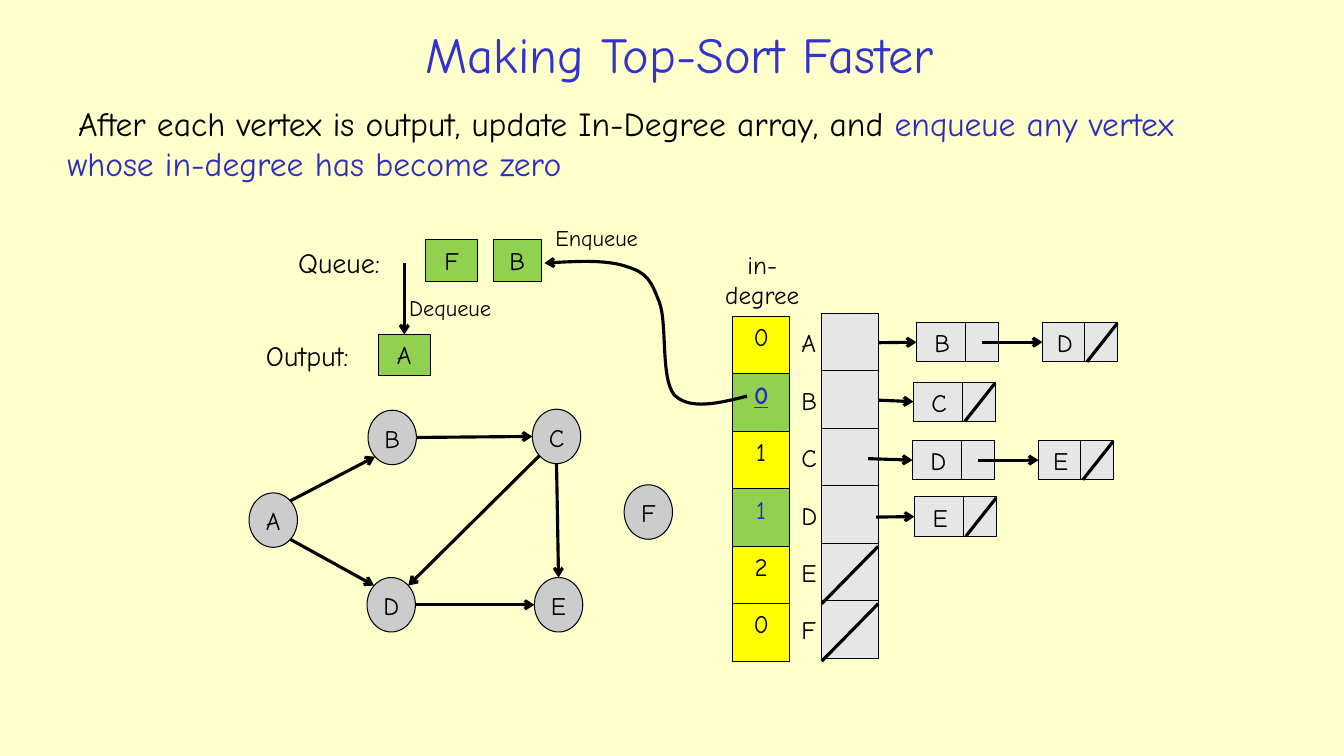
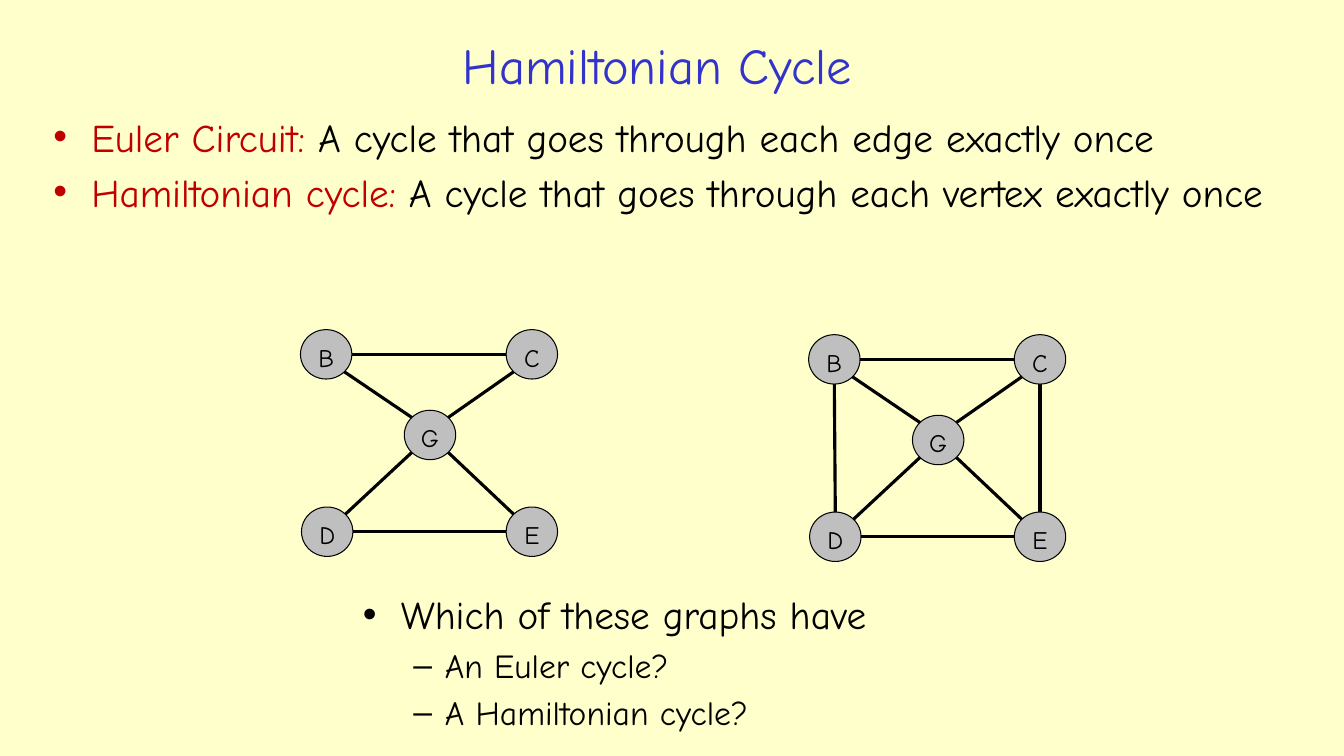
from lxml.etree import SubElement
from pptx import Presentation
from pptx.dml.color import RGBColor
from pptx.enum.shapes import MSO_CONNECTOR as Connector
from pptx.enum.shapes import MSO_SHAPE as Preset
from pptx.enum.text import MSO_ANCHOR as Anchor
from pptx.enum.text import MSO_AUTO_SIZE as AutoSize
from pptx.enum.text import PP_ALIGN as Align
from pptx.oxml.ns import qn
from pptx.util import Inches, Pt

FONT = "Comic Neue"
COLORS = {
    "background": "FFFFCC",
    "title": "3333CC",
    "text": "000000",
    "emphasis": "2D2DB9",
    "term": "C00000",
    "line": "000000",
    "vertex": "CCCCCC",
    "cycle_vertex": "BFBFBF",
    "list_cell": "E6E6E6",
    "degree": "FFFF00",
    "active": "92D050",
}
TITLE_ONLY, TWO_CONTENT = 5, 3
CELL_WIDTH, CELL_HEIGHT = 0.56, 0.57
POINTER_WIDTH, LIST_HEIGHT = 0.32, 0.39

# Unit offsets from a vertex centre to its connection points
DIAGONAL = 0.7071
COMPASS = {
    "N": (0, -1), "S": (0, 1), "W": (-1, 0), "E": (1, 0),
    "NW": (-DIAGONAL, -DIAGONAL), "NE": (DIAGONAL, -DIAGONAL),
    "SW": (-DIAGONAL, DIAGONAL), "SE": (DIAGONAL, DIAGONAL),
}


def color(name):
    return RGBColor.from_string(COLORS[name])


def add_run(paragraph, text, size, color_name="text", marked=False):
    run = paragraph.add_run()
    run.text = text
    run.font.name = FONT
    run.font.size = Pt(size)
    run.font.color.rgb = color(color_name)
    if marked:
        run.font.bold = run.font.underline = True


def place(shape, left, top, width, height):
    shape.left, shape.top = Inches(left), Inches(top)
    shape.width, shape.height = Inches(width), Inches(height)


def fill_frame(frame, paragraphs):
    """Write (level, runs) pairs, each run being the arguments of add_run."""
    frame.word_wrap = True
    frame.auto_size = AutoSize.NONE
    for index, (level, runs) in enumerate(paragraphs):
        paragraph = frame.add_paragraph() if index else frame.paragraphs[0]
        paragraph.level = level
        for run in runs:
            add_run(paragraph, *run)


def set_title(slide, text, box):
    place(slide.shapes.title, *box)
    fill_frame(slide.shapes.title.text_frame, [(0, [(text, 36, "title")])])


def set_list(placeholder, box, paragraphs):
    place(placeholder, *box)
    fill_frame(placeholder.text_frame, paragraphs)


def add_text(slide, box, lines, align=Align.LEFT):
    frame = slide.shapes.add_textbox(*map(Inches, box)).text_frame
    fill_frame(frame, [(0, runs) for runs in lines])
    for paragraph in frame.paragraphs:
        paragraph.alignment = align


def add_box(slide, box, fill, text="", preset=Preset.RECTANGLE,
            text_color="text", marked=False):
    shape = slide.shapes.add_shape(preset, *map(Inches, box))
    shape.shadow.inherit = False
    shape.fill.solid()
    shape.fill.fore_color.rgb = color(fill)
    shape.line.color.rgb = color("line")
    shape.line.width = Pt(0.75)
    if text:
        frame = shape.text_frame
        frame.word_wrap = False
        frame.vertical_anchor = Anchor.TOP
        frame.paragraphs[0].alignment = Align.CENTER
        add_run(frame.paragraphs[0], text, 18, text_color, marked)
    return shape


def style_line(shape, arrow):
    shape.line.color.rgb = color("line")
    shape.line.width = Pt(2.25)
    if arrow:
        line = shape.element.spPr.find(qn("a:ln"))
        SubElement(line, qn("a:tailEnd")).set("type", "arrow")


def add_line(slide, start, end, arrow=False):
    """Join two points given in inches."""
    connector = slide.shapes.add_connector(
        Connector.STRAIGHT, *map(Inches, (*start, *end)))
    style_line(connector, arrow)
    SubElement(connector.element.spPr, qn("a:effectLst"))


def add_curved_arrow(slide, points):
    """Draw cubic curves: a start point, then three points per curve, in 1/100 inch."""
    builder = slide.shapes.build_freeform(*points[0], scale=Inches(0.01))
    builder.add_line_segments(points[1:], close=False)
    shape = builder.convert_to_shape()
    shape.shadow.inherit = False
    shape.fill.background()
    style_line(shape, arrow=True)
    segments = list(shape.element.iter(qn("a:lnTo")))
    outline = segments[0].getparent()
    for first in range(0, len(segments), 3):
        curve = SubElement(outline, qn("a:cubicBezTo"))
        for segment in segments[first:first + 3]:
            curve.append(segment[0])
            outline.remove(segment)


def rim_point(shape, direction):
    """Return, in inches, the point of an ellipse that lies in a compass direction."""
    across, down = COMPASS[direction]
    return (shape.left.inches + shape.width.inches * (1 + across) / 2,
            shape.top.inches + shape.height.inches * (1 + down) / 2)


def add_graph(slide, vertices, edges, size, fill, offset=(0, 0), arrow=False):
    """Draw vertices {name: (left, top)} and edges (from, side, to, side)."""
    shapes = {
        name: add_box(slide, (left + offset[0], top + offset[1], *size),
                      fill, name, Preset.OVAL)
        for name, (left, top) in vertices.items()
    }
    for source, source_side, target, target_side in edges:
        add_line(slide, rim_point(shapes[source], source_side),
                 rim_point(shapes[target], target_side), arrow)


def add_linked_list(slide, start, top, nodes):
    """Draw a chain of (letter, left, letter width), the last one with a nil slash."""
    middle = top + LIST_HEIGHT / 2
    for index, (letter, left, width) in enumerate(nodes):
        add_box(slide, (left, top, width, LIST_HEIGHT), "list_cell", letter)
        pointer = left + width - 0.02
        add_box(slide, (pointer, top, POINTER_WIDTH, LIST_HEIGHT), "list_cell")
        add_line(slide, start, (left, middle), arrow=True)
        start = (pointer + POINTER_WIDTH / 2, middle)
        if index == len(nodes) - 1:
            add_line(slide, (pointer + POINTER_WIDTH, top + 0.01),
                     (pointer + 0.02, top + LIST_HEIGHT))


def add_adjacency_lists(slide):
    left, first_top = 8.15, 3.11
    tops = [first_top + CELL_HEIGHT * row for row in range(6)]
    for letter, top in zip("ABCDEF", tops):
        add_box(slide, (left, top, CELL_WIDTH, CELL_HEIGHT), "list_cell")
        add_text(slide, (7.85, top + 0.09, 0.39, 0.4), [[(letter, 18)]])
    chains = [
        ((8.71, 3.4), 3.2, [("B", 9.09, 0.51), ("D", 10.34, 0.44)]),
        ((8.71, 3.97), 3.79, [("C", 9.06, 0.51)]),
        ((8.61, 4.55), 4.37, [("D", 9.05, 0.51), ("E", 10.3, 0.44)]),
        ((8.69, 5.13), 4.93, [("E", 9.07, 0.51)]),
    ]
    for chain in chains:
        add_linked_list(slide, *chain)
    for top in tops[len(chains):]:
        add_line(slide, (left + CELL_WIDTH, top + 0.03),
                 (left, top + CELL_HEIGHT + 0.03))


def add_degree_column(slide):
    add_text(slide, (7.05, 2.42, 1.02, 0.71),
             [[("in-", 18)], [("degree", 18)]], Align.CENTER)
    for row, degree in enumerate("001120"[:1] + "01120"):
        updated = row in (1, 3)
        add_box(slide, (7.27, 3.14 + CELL_HEIGHT * row, CELL_WIDTH, CELL_HEIGHT),
                "active" if updated else "degree", degree,
                text_color="emphasis" if updated else "text", marked=row == 1)


def add_queue(slide):
    labels = [
        ((2.86, 2.39, 1.14, 0.44), "Queue:", 20),
        ((2.54, 3.31, 1.24, 0.44), "Output:", 20),
        ((3.96, 2.87, 1.13, 0.37), "Dequeue", 16),
        ((5.41, 2.17, 1.13, 0.37), "Enqueue", 16),
    ]
    for box, text, size in labels:
        add_text(slide, box, [[(text, size)]])
    for letter, left, top, width in [("F", 4.22, 2.38, 0.52),
                                     ("B", 4.89, 2.38, 0.48),
                                     ("A", 3.75, 3.32, 0.52)]:
        add_box(slide, (left, top, width, 0.41), "active", letter)
    add_line(slide, (4.01, 2.61), (4.01, 3.32), arrow=True)
    add_curved_arrow(slide, [
        (741, 393),
        (713, 400), (684, 407), (669, 392),
        (655, 376), (662, 321), (654, 300),
        (646, 279), (642, 271), (623, 265),
        (604, 258), (572, 259), (540, 261),
    ])


def build_top_sort(presentation):
    slide = presentation.slides.add_slide(presentation.slide_layouts[TITLE_ONLY])
    set_title(slide, "Making Top-Sort Faster", (1.97, 0.15, 9.54, 0.76))
    add_text(slide, (0.57, 0.97, 11.86, 0.96), [[
        (" ", 23),
        ("After each vertex is output, update In-Degree array, and ", 24),
        ("enqueue any vertex whose in-degree has become zero", 24, "emphasis"),
    ]])
    vertices = {"A": (2.47, 4.89), "B": (3.65, 4.07), "C": (5.28, 4.06),
                "D": (3.64, 5.73), "F": (6.19, 4.81), "E": (5.3, 5.73)}
    edges = [("A", "NE", "B", "SW"), ("B", "E", "C", "W"), ("C", "S", "E", "N"),
             ("A", "SE", "D", "NW"), ("D", "E", "E", "W"), ("C", "SW", "D", "NE")]
    add_graph(slide, vertices, edges, (0.48, 0.54), "vertex", arrow=True)
    add_adjacency_lists(slide)
    add_degree_column(slide)
    add_queue(slide)


def build_hamiltonian_cycle(presentation):
    slide = presentation.slides.add_slide(presentation.slide_layouts[TWO_CONTENT])
    set_title(slide, "Hamiltonian Cycle", (2.04, 0.26, 8.96, 0.76))
    definitions, questions = list(slide.placeholders)[1:]
    set_list(definitions, (0.43, 1.07, 12.4, 2.23), [
        (0, [("Euler Circuit: ", 28, "term"),
             ("A cycle that goes through each edge exactly once", 28)]),
        (0, [("Hamiltonian cycle: ", 28, "term"),
             ("A cycle that goes through each vertex exactly once", 28)]),
    ])
    set_list(questions, (3.5, 5.81, 5.95, 1.33), [
        (0, [("Which of these graphs have", 28)]),
        (1, [("An Euler cycle?", 24)]),
        (1, [("A Hamiltonian cycle?", 24)]),
    ])
    vertices = {"B": (2.98, 3.27), "C": (5.02, 3.27), "D": (2.99, 5.03),
                "E": (5.02, 5.03), "G": (4.01, 4.07)}
    bow_tie = [("G", "NW", "B", "SE"), ("G", "SE", "E", "NW"),
               ("G", "SW", "D", "NE"), ("G", "NE", "C", "SW"),
               ("C", "W", "B", "E"), ("E", "W", "D", "E")]
    sides = [("E", "N", "C", "S"), ("D", "N", "B", "S")]
    for edges, offset in [(bow_tie, (0, 0)), (bow_tie + sides, (5.04, 0.05))]:
        add_graph(slide, vertices, edges, (0.51, 0.49), "cycle_vertex", offset)


def main():
    presentation = Presentation()
    presentation.slide_width, presentation.slide_height = Inches(13.33), Inches(7.5)
    background = presentation.slide_master.background.fill
    background.solid()
    background.fore_color.rgb = color("background")
    build_top_sort(presentation)
    build_hamiltonian_cycle(presentation)
    presentation.save("out.pptx")


if __name__ == "__main__":
    main()
